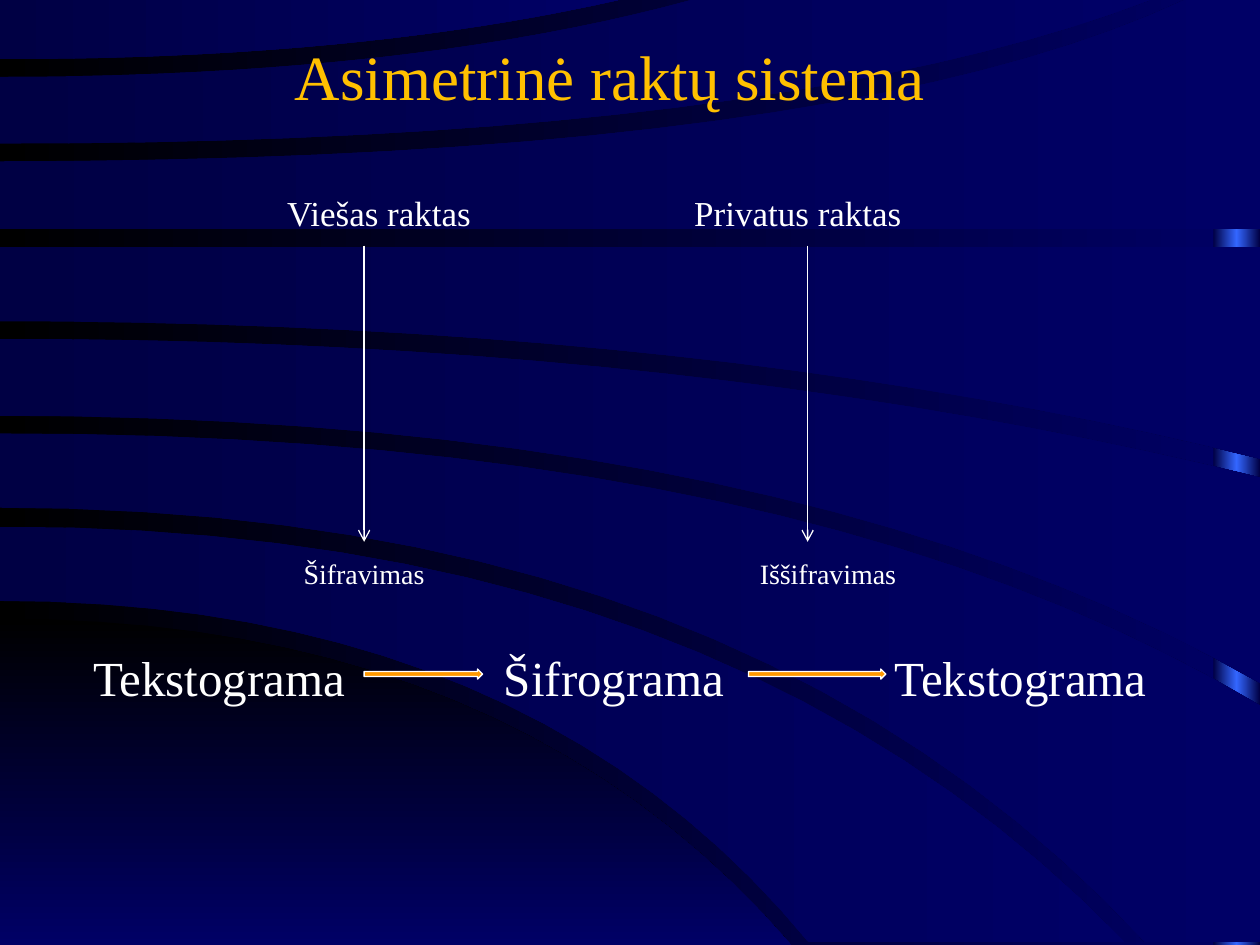
from copy import deepcopy
from dataclasses import dataclass

from lxml import etree
from pptx import Presentation
from pptx.dml.color import RGBColor
from pptx.dml.fill import FillFormat
from pptx.enum.shapes import MSO_CONNECTOR, MSO_SHAPE
from pptx.enum.text import MSO_ANCHOR, PP_ALIGN
from pptx.oxml.ns import qn
from pptx.slide import Slide
from pptx.text.text import TextFrame
from pptx.util import Inches, Pt

RECTANGLE = MSO_SHAPE.RECTANGLE
RIGHT_ARROW = MSO_SHAPE.RIGHT_ARROW
STRAIGHT = MSO_CONNECTOR.STRAIGHT
MIDDLE = MSO_ANCHOR.MIDDLE
CENTER = PP_ALIGN.CENTER
LEFT = PP_ALIGN.LEFT

FONT = "Times New Roman"
COLORS = {
    "black": "000000",
    "navy": "000066",
    "dark_navy": "000044",
    "glow": "3366FF",
    "title": "FFC000",
    "white": "FFFFFF",
    "arrow": "FF9900",
}
LINE_WIDTH = Pt(0.75)
TITLE_ONLY = 5
CURVE_STEPS = 20


@dataclass
class Edge:
    start_y: float
    bend_x: float
    end_x: float
    end_y: float

    def points(self) -> list[tuple[float, float]]:
        result = []
        for step in range(CURVE_STEPS + 1):
            t = step / CURVE_STEPS
            x = 2 * t * (1 - t) * self.bend_x + t * t * self.end_x
            y = self.start_y + t * t * (self.end_y - self.start_y)
            result.append((x, y))
        return result


@dataclass
class Band:
    upper: Edge
    lower: Edge
    start: str = "dark_navy"
    angle: int = 0


@dataclass
class Label:
    text: str
    left: float
    middle: float
    width: float
    size: int


BANDS = [
    Band(Edge(4.91, 4.05, 6.28, 7.5), Edge(7.5, 3.14, 6.28, 7.5), "black", 270),
    Band(Edge(4.18, 5.74, 8.93, 7.48), Edge(4.77, 4.19, 6.42, 7.48)),
    Band(Edge(3.44, 6.4, 10, 5.6), Edge(4.03, 5.9, 9.09, 7.48)),
    Band(Edge(2.69, 5.54, 10, 3.79), Edge(3.3, 6.3, 10, 5.42)),
    Band(Edge(1.96, 5, 10, 1.96), Edge(2.55, 5.66, 10, 3.64)),
    Band(Edge(1.28, 6.66, 9.4, 0), Edge(1.82, 5, 10, 1.82)),
    Band(Edge(0.61, 3.26, 5.49, 0), Edge(1.14, 6.14, 9.13, 0)),
    Band(Edge(0, 2.45, 4.91, 0), Edge(0.47, 2.84, 4.91, 0)),
]

LABELS = [
    Label("Viešas raktas", 2.28, 1.69, 1.6, 20),
    Label("Privatus raktas", 5.51, 1.69, 1.8, 20),
    Label("Šifravimas", 2.41, 4.55, 1.1, 16),
    Label("Iššifravimas", 6.03, 4.55, 1.25, 16),
    Label("Tekstograma", 0.74, 5.37, 2.1, 28),
    Label("Šifrograma", 4, 5.37, 1.9, 28),
    Label("Tekstograma", 7.1, 5.37, 2.1, 28),
]
KEY_ARROWS = [2.89, 6.41]
FLOW_ARROWS = [(2.89, 0.94), (5.94, 1.09)]


def color(name: str) -> RGBColor:
    return RGBColor.from_string(COLORS[name])


def set_gradient(fill: FillFormat, start: str, end: str, angle: int = 0) -> None:
    fill.gradient()
    fill.gradient_angle = angle
    for stop, name in zip(fill.gradient_stops, (start, end)):
        stop.color.rgb = color(name)


def add_glow(slide: Slide) -> None:
    shape = slide.shapes.add_shape(RECTANGLE, Inches(9.63), 0, Inches(0.37), Inches(7.5))
    shape.shadow.inherit = False
    shape.line.fill.background()
    set_gradient(shape.fill, "dark_navy", "dark_navy")
    stops = shape._element.spPr.find(".//" + qn("a:gsLst"))
    stops.insert(1, deepcopy(stops[0]))
    stops[1].set("pos", "50000")
    shape.fill.gradient_stops[1].color.rgb = color("glow")


def add_band(slide: Slide, band: Band) -> None:
    shorter, longer = sorted((band.upper, band.lower), key=lambda edge: edge.end_x)
    corner = (longer.end_x, shorter.end_y)
    points = shorter.points() + [corner] + longer.points()[::-1]
    outline = [(Inches(x), Inches(y)) for x, y in points]
    builder = slide.shapes.build_freeform(*outline[0])
    builder.add_line_segments(outline[1:], close=True)
    shape = builder.convert_to_shape()
    shape.shadow.inherit = False
    shape.line.fill.background()
    set_gradient(shape.fill, band.start, "navy", band.angle)


def write(frame: TextFrame, text: str, size: int, color_name: str, alignment: PP_ALIGN) -> None:
    frame.word_wrap = True
    frame.vertical_anchor = MIDDLE
    paragraph = frame.paragraphs[0]
    paragraph.alignment = alignment
    run = paragraph.add_run()
    run.text = text
    run.font.name = FONT
    run.font.size = Pt(size)
    run.font.color.rgb = color(color_name)


def add_label(slide: Slide, label: Label) -> None:
    height = label.size / 60
    box = slide.shapes.add_textbox(
        Inches(label.left), Inches(label.middle - height / 2), Inches(label.width), Inches(height)
    )
    frame = box.text_frame
    frame.margin_left = frame.margin_right = frame.margin_top = frame.margin_bottom = 0
    write(frame, label.text, label.size, "white", LEFT)


def add_key_arrow(slide: Slide, x: float) -> None:
    connector = slide.shapes.add_connector(STRAIGHT, Inches(x), Inches(1.95), Inches(x), Inches(4.3))
    connector.line.color.rgb = color("white")
    connector.line.width = LINE_WIDTH
    line = connector._element.spPr.find(qn("a:ln"))
    etree.SubElement(line, qn("a:tailEnd"), type="arrow")
    etree.SubElement(connector._element.spPr, qn("a:effectLst"))


def add_flow_arrow(slide: Slide, left: float, width: float) -> None:
    shape = slide.shapes.add_shape(RIGHT_ARROW, Inches(left), Inches(5.31), Inches(width), Inches(0.08))
    shape.shadow.inherit = False
    shape.fill.solid()
    shape.fill.fore_color.rgb = color("arrow")
    shape.line.color.rgb = color("white")
    shape.line.width = LINE_WIDTH


def main() -> None:
    presentation = Presentation()
    presentation.slide_width, presentation.slide_height = Inches(10), Inches(7.5)
    slide = presentation.slides.add_slide(presentation.slide_layouts[TITLE_ONLY])
    set_gradient(slide.background.fill, "black", "navy")
    add_glow(slide)
    for band in BANDS:
        add_band(slide, band)
    title = slide.shapes.title
    slide.shapes._spTree.append(title._element)
    title.left, title.top, title.width, title.height = map(Inches, (0.59, 0.28, 8.5, 0.63))
    write(title.text_frame, "Asimetrinė raktų sistema", 36, "title", CENTER)
    for label in LABELS:
        add_label(slide, label)
    for x in KEY_ARROWS:
        add_key_arrow(slide, x)
    for left, width in FLOW_ARROWS:
        add_flow_arrow(slide, left, width)
    presentation.save("out.pptx")


if __name__ == "__main__":
    main()
